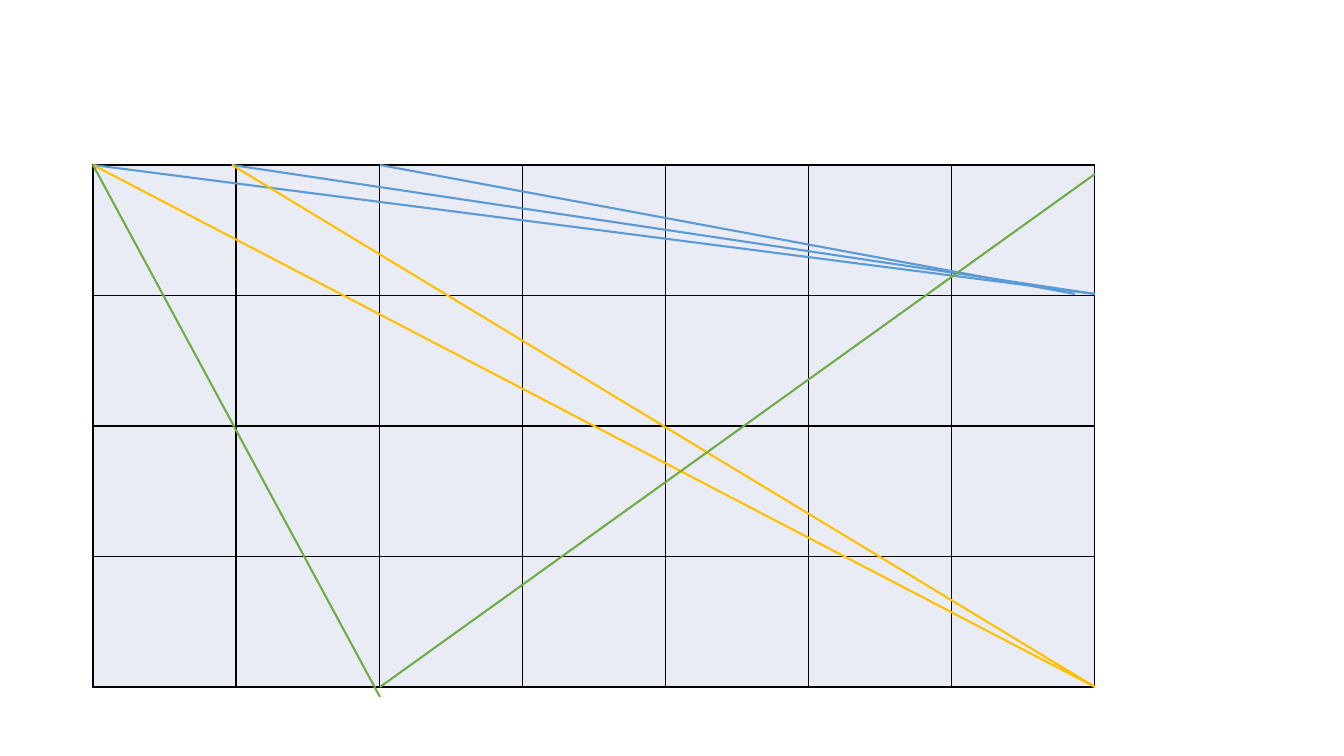
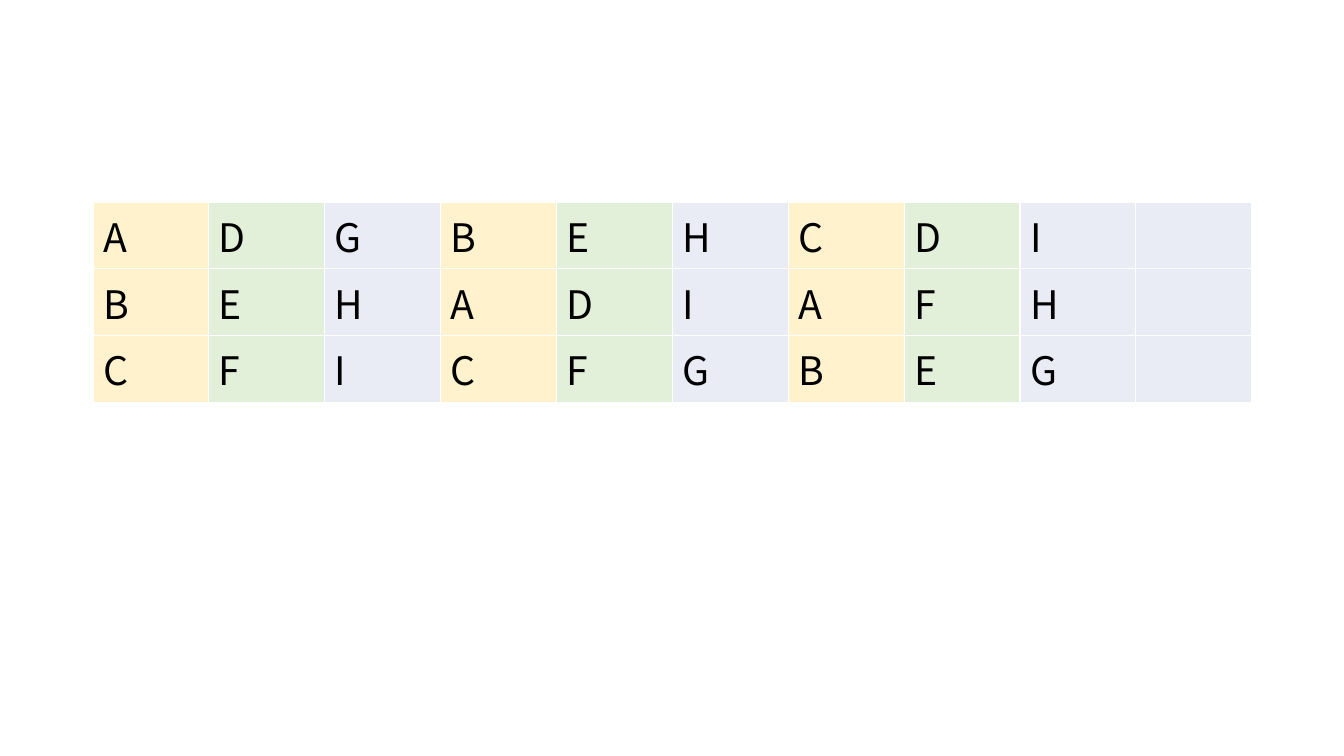
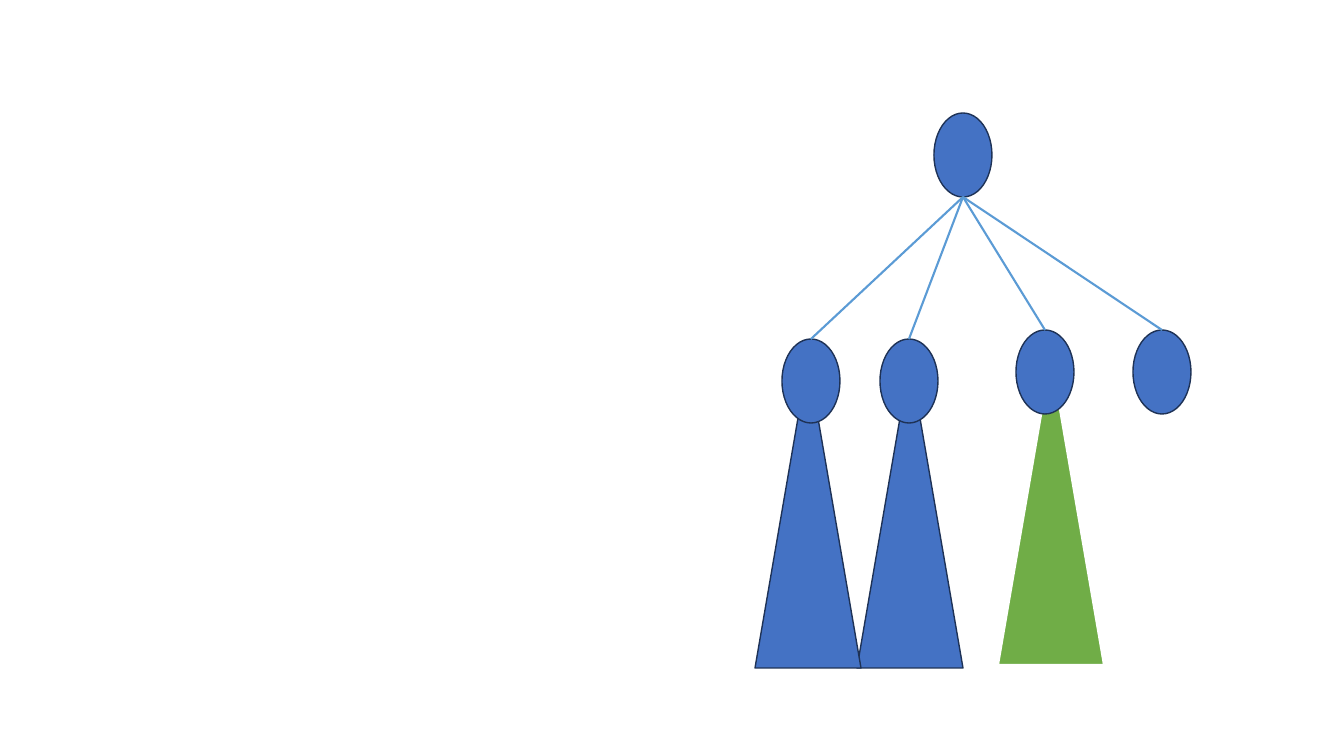
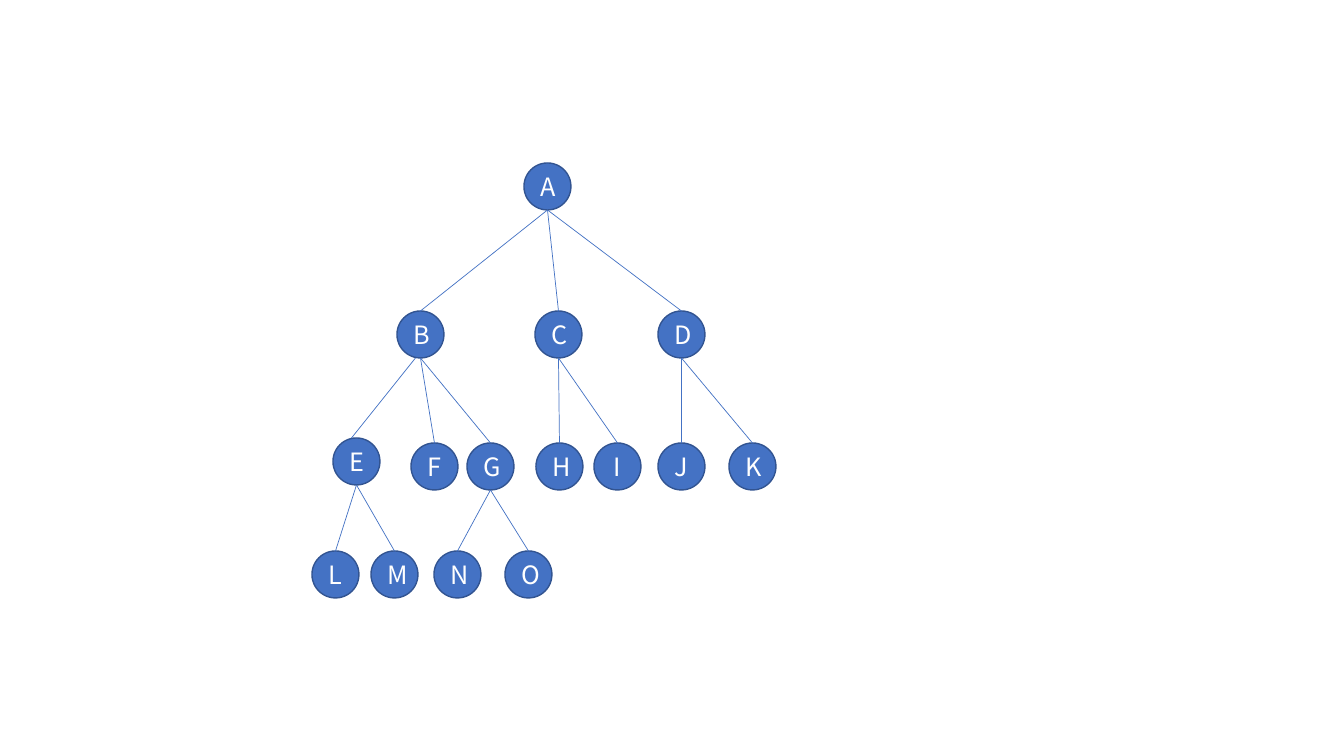
from lxml import etree
from pptx import Presentation
from pptx import util as u
from pptx.dml.color import RGBColor
from pptx.enum import shapes, text
from pptx.oxml import ns

EMU_PER_PX = 914400 / 100.8
FONT = "Noto Sans CJK SC"
BLUE, SKY, GREEN, GOLD = "4472C4", "5B9BD5", "70AD47", "FFC000"
PALE_BLUE, PALE_GREEN, PALE_GOLD = "E9EBF5", "E2F0D9", "FFF2CC"
NAVY, STEEL, BLACK, WHITE = "1E3256", "325491", "000000", "FFFFFF"


def px(length):
    return u.Emu(round(length * EMU_PER_PX))


def rgb(hex_code):
    return RGBColor.from_string(hex_code)


def set_line(line, color, width):
    line.color.rgb = rgb(color)
    line.width = u.Pt(width)


def write(frame, words, size, color):
    paragraph = frame.paragraphs[0]
    run = paragraph.add_run()
    run.text = words
    for name, value in {"name": FONT, "size": u.Pt(size), "bold": False}.items():
        setattr(run.font, name, value)
    run.font.color.rgb = rgb(color)
    return paragraph


def add_line(slide, start, end, color, width):
    line = slide.shapes.add_connector(
        shapes.MSO_CONNECTOR.STRAIGHT, *map(px, (*start, *end)))
    set_line(line.line, color, width)
    etree.SubElement(line._element.spPr, ns.qn("a:effectLst"))


def add_figure(slide, kind, box, fill, outline, width=1):
    figure = slide.shapes.add_shape(kind, *map(px, box))
    figure.shadow.inherit = False
    figure.fill.solid()
    figure.fill.fore_color.rgb = rgb(fill)
    set_line(figure.line, outline, width)
    return figure


def top_of(box):
    left, top, width, _ = box
    return left + width / 2, top


def bottom_of(box):
    left, top, width, height = box
    return left + width / 2, top + height


def set_borders(cell, color, width):
    props = cell._tc.get_or_add_tcPr()
    for place, side in enumerate(("lnL", "lnR", "lnT", "lnB")):
        border = etree.Element(ns.qn(f"a:{side}"), w=str(u.Pt(width)))
        solid = etree.SubElement(border, ns.qn("a:solidFill"))
        etree.SubElement(solid, ns.qn("a:srgbClr"), val=color)
        props.insert(place, border)


def add_grid(slide, box, rows, fills, border):
    """Even grid; each row is a string with one letter (or space) per cell."""
    left, top, width, height = box
    table = slide.shapes.add_table(
        len(rows), len(fills), *map(px, box)).table
    table.first_row = table.horz_banding = False
    for column in table.columns:
        column.width = px(width / len(fills))
    for row in table.rows:
        row.height = px(height / len(rows))
    for r, letters in enumerate(rows):
        for c, (letter, fill) in enumerate(zip(letters, fills)):
            cell = table.cell(r, c)
            cell.fill.solid()
            cell.fill.fore_color.rgb = rgb(fill)
            set_borders(cell, border, 1)
            if letter != " ":
                write(cell.text_frame, letter, 28, BLACK)


# Slide 1: grid crossed by rays
def ray_grid(slide, box):
    left, top, width, height = box
    add_grid(slide, box, [" " * 7] * 4, [PALE_BLUE] * 7, BLACK)
    second, third = 139, 287
    rays = [
        (second, 0, width, 129, SKY),
        (0, 0, width, 129, SKY),
        (0, 0, width, height, GOLD),
        (second, 0, width, height, GOLD),
        (third, 0, width - 20, 129, SKY),
        (0, 0, third, height + 10, GREEN),
        (third, height, width, 9, GREEN),
    ]
    for x1, y1, x2, y2, color in rays:
        add_line(slide, (left + x1, top + y1), (left + x2, top + y2), color, 1.5)


# Slide 2: letters in three colour groups
def letter_grid(slide, box):
    fills = [PALE_GOLD, PALE_GREEN, PALE_BLUE] * 3 + [PALE_BLUE]
    add_grid(slide, box, ["ADGBEHCDI ", "BEHADIAFH ", "CFICFGBEG "], fills, WHITE)


# Slide 3: root with four children, three of them carrying a subtree
def subtree_diagram(slide, origin):
    left, top = origin

    def oval_box(x, y):
        return left + x, top + y, 58, 84

    subtrees = [
        (243, 244, GREEN, WHITE, 1.5),
        (102, 247, BLUE, NAVY, 1),
        (0, 247, BLUE, NAVY, 1),
    ]
    for x, y, fill, outline, width in subtrees:
        add_figure(slide, shapes.MSO_SHAPE.ISOSCELES_TRIANGLE,
                   (left + x, top + y, 106, 308), fill, outline, width)

    root = oval_box(179, 0)
    children = [oval_box(x, y) for x, y in
                ((27, 226), (125, 226), (261, 217), (378, 217))]
    for oval in (root, *children):
        add_figure(slide, shapes.MSO_SHAPE.OVAL, oval, BLUE, NAVY)
    for child in children:
        add_line(slide, bottom_of(root), top_of(child), SKY, 1.5)


# Slide 4: lettered tree
def letter_tree(slide, origin):
    left, top = origin
    levels = [
        (0, {"A": 212}),
        (148, {"B": 85, "C": 223, "D": 346}),
        (275, {"E": 21}),
        (280, {"F": 99, "G": 155, "H": 224, "I": 282, "J": 346, "K": 417}),
        (388, {"L": 0, "M": 59, "N": 122, "O": 193}),
    ]
    children = {"A": "BCD", "B": "EFG", "C": "HI", "D": "JK", "E": "LM", "G": "NO"}
    nodes = {letter: (left + x, top + y, 47, 47)
             for y, level in levels for letter, x in level.items()}

    for letter, box in nodes.items():
        node = add_figure(slide, shapes.MSO_SHAPE.OVAL, box, BLUE, STEEL)
        node.text_frame.vertical_anchor = text.MSO_ANCHOR.MIDDLE
        label = write(node.text_frame, letter, 18, WHITE)
        label.alignment = text.PP_ALIGN.CENTER

    for parent, letters in children.items():
        for child in letters:
            shift = -5 if child == "E" else 0
            (x1, y1), (x2, y2) = bottom_of(nodes[parent]), top_of(nodes[child])
            add_line(slide, (x1 + shift, y1), (x2 + shift, y2), BLUE, 0.5)


def main():
    deck = Presentation()
    deck.slide_width, deck.slide_height = px(1344), px(756)
    pages = [
        (ray_grid, (93, 165, 1002, 522)),
        (letter_grid, (93, 202, 1159, 176)),
        (subtree_diagram, (755, 113)),
        (letter_tree, (312, 163)),
    ]
    for draw, place in pages:
        draw(deck.slides.add_slide(deck.slide_layouts[6]), place)
    deck.save("out.pptx")


if __name__ == "__main__":
    main()
